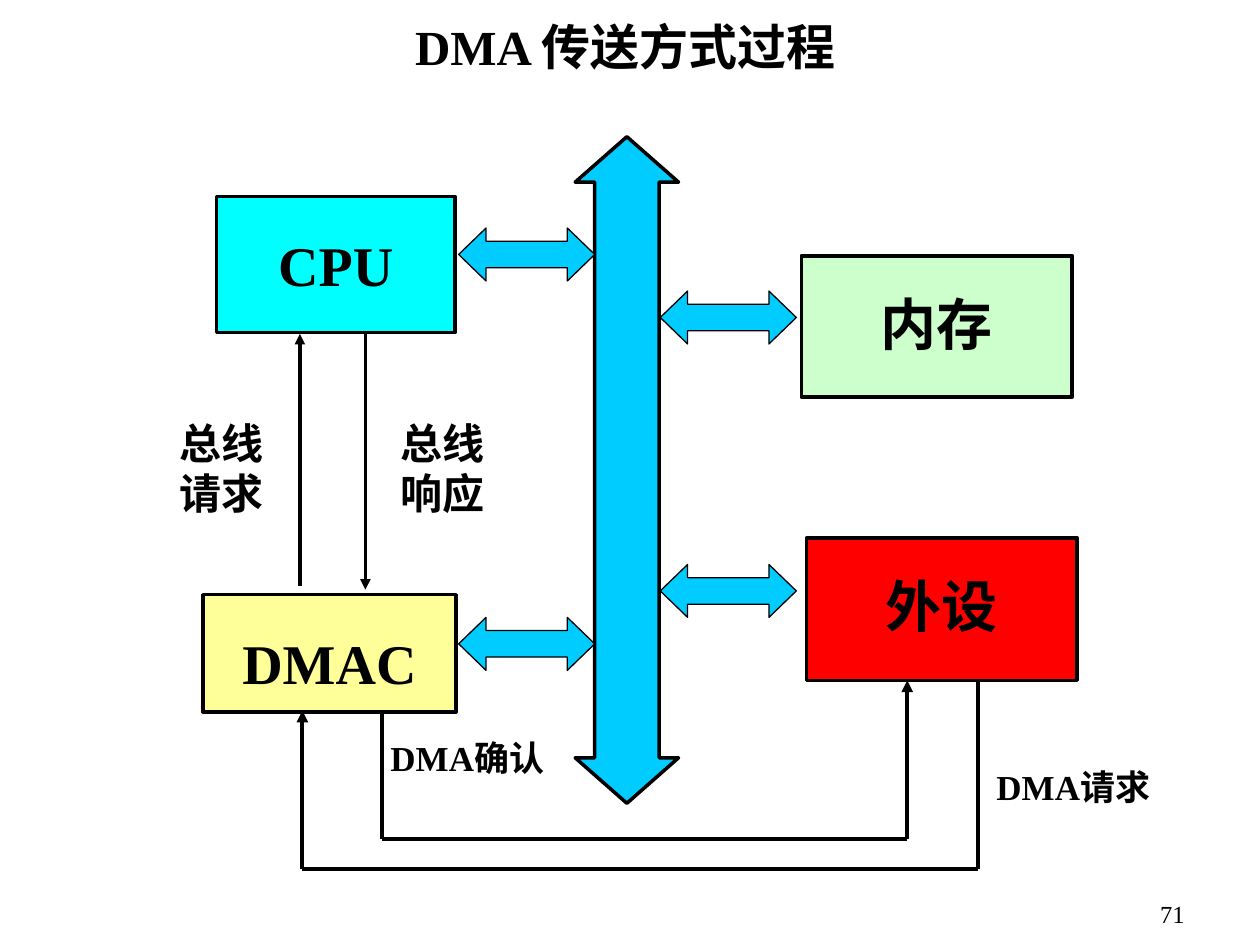
from dataclasses import dataclass

from pptx import Presentation
from pptx.dml.color import RGBColor
from pptx.enum.shapes import MSO_CONNECTOR, MSO_SHAPE
from pptx.enum.text import MSO_ANCHOR, MSO_AUTO_SIZE, PP_ALIGN
from pptx.oxml.ns import qn
from pptx.shapes.autoshape import Shape
from pptx.slide import Slide
from pptx.text.text import TextFrame
from pptx.util import Inches, Pt

STRAIGHT = MSO_CONNECTOR.STRAIGHT
RECTANGLE, DOUBLE_ARROW = MSO_SHAPE.RECTANGLE, MSO_SHAPE.LEFT_RIGHT_ARROW
TOP, BOTTOM = MSO_ANCHOR.TOP, MSO_ANCHOR.BOTTOM
LEFT, CENTER, RIGHT = PP_ALIGN.LEFT, PP_ALIGN.CENTER, PP_ALIGN.RIGHT
FIT_SHAPE, FIXED = MSO_AUTO_SIZE.SHAPE_TO_FIT_TEXT, MSO_AUTO_SIZE.NONE

BLACK = RGBColor(0x00, 0x00, 0x00)
CYAN = RGBColor(0x00, 0xFF, 0xFF)
YELLOW = RGBColor(0xFF, 0xFF, 0x99)
GREEN = RGBColor(0xCC, 0xFF, 0xCC)
RED = RGBColor(0xFF, 0x00, 0x00)
BUS_BLUE = RGBColor(0x00, 0xCC, 0xFF)
LATIN_FONT, CHINESE_FONT = "Times New Roman", "Noto Sans CJK SC"

Box = tuple[float, float, float, float]
Point = tuple[float, float]


@dataclass(frozen=True)
class Unit:
    name: str
    box: Box
    color: RGBColor


@dataclass(frozen=True)
class Label:
    lines: tuple[tuple[str, ...], ...]
    box: Box
    size: int
    align: PP_ALIGN = CENTER
    bold: bool = True
    padded: bool = False
    wrap: bool = True
    anchor: MSO_ANCHOR = TOP


@dataclass(frozen=True)
class Signal:
    points: tuple[Point, ...]
    width: float


UNITS = (
    Unit("CPU", (1.72, 1.56, 1.89, 1.08), CYAN),
    Unit("DMAC", (1.61, 4.72, 2.01, 0.93), YELLOW),
    Unit("内存", (6.36, 2.03, 2.15, 1.12), GREEN),
    Unit("外设", (6.4, 4.27, 2.15, 1.13), RED),
)
BUS_BOX = (2.33, 3.32, 5.29, 0.82)
LINK_POSITIONS = ((3.64, 1.81), (3.64, 4.9), (5.24, 2.31), (5.24, 4.48))
LINK_SIZE = (1.08, 0.42)
SIGNALS = (
    Signal(((2.38, 4.65), (2.38, 2.65)), 2),
    Signal(((2.9, 2.63), (2.9, 4.68)), 2),
    Signal(((3.03, 5.64), (3.03, 6.66), (7.2, 6.66), (7.2, 5.4)), 2.25),
    Signal(((7.76, 5.4), (7.76, 6.9), (2.4, 6.9), (2.4, 5.64)), 2.25),
)
LABELS = (
    Label((("DMA ", "传送方式过程"),), (3.05, 0.13, 3.82, 0.63), 28),
    Label((("总线",), ("请求",)), (1.22, 3.31, 1.08, 0.83), 24),
    Label((("总线",), ("响应",)), (2.97, 3.31, 1.08, 0.83), 24),
    Label((("DMA", "请求"),), (7.81, 6.03, 1.49, 0.44), 20, LEFT, padded=True, wrap=False),
    Label((("DMA", "确认"),), (3, 5.8, 1.49, 0.44), 20, LEFT, padded=True, wrap=False),
    Label((("71",),), (7.42, 6.92, 2.08, 0.5), 14, RIGHT, False, True, anchor=BOTTOM),
)


def write_lines(
    frame: TextFrame,
    lines: tuple[tuple[str, ...], ...],
    size: int,
    bold: bool = True,
    align: PP_ALIGN = CENTER,
    spacing: float = 1.0,
) -> None:
    """Fill a text frame with one paragraph per line and one run per script."""
    for index, parts in enumerate(lines):
        paragraph = frame.add_paragraph() if index else frame.paragraphs[0]
        paragraph.alignment = align
        paragraph.line_spacing = spacing
        for part in parts:
            run = paragraph.add_run()
            run.text = part
            latin = CHINESE_FONT if not part.isascii() else LATIN_FONT
            for key, value in {"name": latin, "size": Pt(size), "bold": bold}.items():
                setattr(run.font, key, value)
            run.font.color.rgb = BLACK
            east_asian = run.font._element.makeelement(qn("a:ea"), {"typeface": CHINESE_FONT})
            run.font._element.append(east_asian)


def set_frame(frame: TextFrame, padded: bool, wrap: bool, anchor: MSO_ANCHOR) -> None:
    """Set the margins, wrapping and anchor of a text frame."""
    side, edge = (Inches(0.1), Inches(0.05)) if padded else (Inches(0), Inches(0))
    layout = {
        "margin_left": side,
        "margin_right": side,
        "margin_top": edge,
        "margin_bottom": edge,
        "auto_size": FIXED if wrap else FIT_SHAPE,
        "word_wrap": wrap,
        "vertical_anchor": anchor,
    }
    for key, value in layout.items():
        setattr(frame, key, value)


def draw_shape(slide: Slide, kind: MSO_SHAPE, box: Box, color: RGBColor, width: float) -> Shape:
    """Draw a filled preset shape with a black outline."""
    shape = slide.shapes.add_shape(kind, *map(Inches, box))
    shape.shadow.inherit = False
    shape.fill.solid()
    shape.fill.fore_color.rgb = color
    shape.line.color.rgb = BLACK
    shape.line.width = Pt(width)
    return shape


def draw_unit(slide: Slide, unit: Unit) -> None:
    """Draw a named hardware unit."""
    frame = draw_shape(slide, RECTANGLE, unit.box, unit.color, 2).text_frame
    set_frame(frame, False, True, TOP)
    write_lines(frame, ((unit.name,),), 32, spacing=1.5)


def draw_double_arrow(slide: Slide, box: Box, body: float, head: float, width: float) -> Shape:
    """Draw a data path with a head at both ends."""
    arrow = draw_shape(slide, DOUBLE_ARROW, box, BUS_BLUE, width)
    arrow.adjustments[0], arrow.adjustments[1] = body, head
    return arrow


def draw_signal(slide: Slide, signal: Signal) -> None:
    """Draw a signal path whose last segment ends in an arrowhead."""
    for start, end in zip(signal.points, signal.points[1:]):
        line = slide.shapes.add_connector(STRAIGHT, *map(Inches, start + end))
        line.line.color.rgb = BLACK
        line.line.width = Pt(signal.width)
        properties = line._element.spPr
        properties.append(properties.makeelement(qn("a:effectLst"), {}))
        if end == signal.points[-1]:
            stroke = line.line._get_or_add_ln()
            stroke.append(stroke.makeelement(qn("a:tailEnd"), {"type": "triangle"}))


def draw_label(slide: Slide, label: Label) -> None:
    """Draw a free-standing text."""
    frame = slide.shapes.add_textbox(*map(Inches, label.box)).text_frame
    set_frame(frame, label.padded, label.wrap, label.anchor)
    write_lines(frame, label.lines, label.size, label.bold, label.align)


def main() -> None:
    """Build the DMA transfer slide."""
    deck = Presentation()
    deck.slide_width, deck.slide_height = Inches(10), Inches(7.5)
    slide = deck.slides.add_slide(deck.slide_layouts[6])
    for unit in UNITS:
        draw_unit(slide, unit)
    draw_double_arrow(slide, BUS_BOX, 0.623, 0.44, 2).rotation = 90
    for position in LINK_POSITIONS:
        draw_double_arrow(slide, position + LINK_SIZE, 0.5, 0.517, 0.75)
    for signal in SIGNALS:
        draw_signal(slide, signal)
    for label in LABELS:
        draw_label(slide, label)
    deck.save("out.pptx")


if __name__ == "__main__":
    main()
